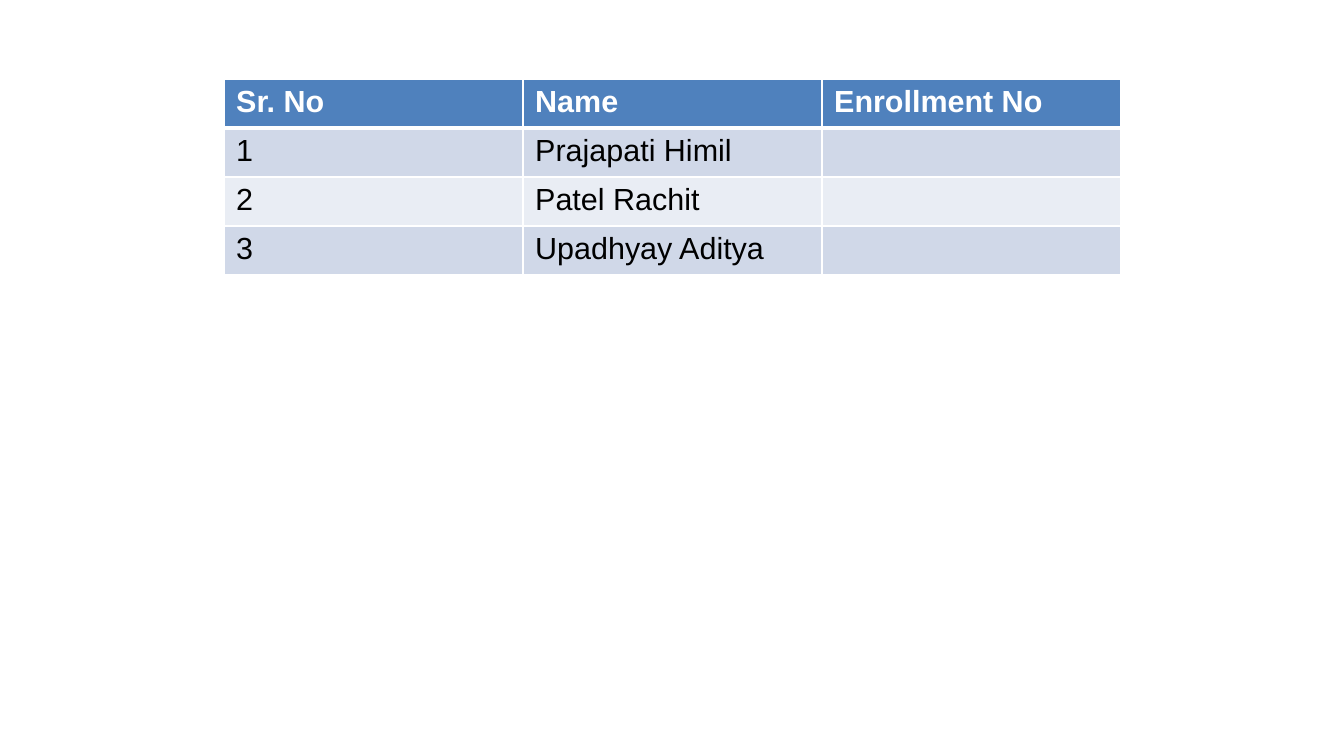
import pptx
import pptx.util
import pptx.dml.color
import pptx.enum.text
import pptx.oxml.ns
import lxml.etree

PX = 914400 / 122

THEME = {
    "font": "Arial", "size": 18, "rule": "FFFFFF", "thin": 1, "thick": 3,
    "head": {"fill": "4F81BD", "text": "FFFFFF", "bold": True},
    "odd": {"fill": "D0D8E8", "text": "000000", "bold": False},
    "even": {"fill": "E9EDF4", "text": "000000", "bold": False},
}

ROWS = [
    ("Sr. No", "Name", "Enrollment No"),
    ("1", "Prajapati Himil", ""),
    ("2", "Patel Rachit", ""),
    ("3", "Upadhyay Aditya", ""),
]


def px(count):
    return pptx.util.Emu(round(count * PX))


def rgb(code):
    return pptx.dml.color.RGBColor.from_string(code)


def assign(item, values):
    for name, value in values.items():
        setattr(item, name, value)


def border(cell, widths):
    """Draw the four cell edges, with widths in points."""
    props = cell._tc.get_or_add_tcPr()
    tag = pptx.oxml.ns.qn
    for side, width in widths.items():
        line = lxml.etree.SubElement(props, tag("a:ln" + side), w=str(pptx.util.Pt(width)))
        fill = lxml.etree.SubElement(line, tag("a:solidFill"))
        lxml.etree.SubElement(fill, tag("a:srgbClr"), val=THEME["rule"])


def style(cell, text, look, widths):
    border(cell, widths)
    cell.fill.solid()
    cell.fill.fore_color.rgb = rgb(look["fill"])
    cell.vertical_anchor = pptx.enum.text.MSO_ANCHOR.TOP
    cell.text = text
    font = cell.text_frame.paragraphs[0].font
    assign(font, {"name": THEME["font"], "size": pptx.util.Pt(THEME["size"]),
                  "bold": look["bold"]})
    font.color.rgb = rgb(look["text"])


def roster(slide, left, top, width, height):
    """Place the student table in the given box."""
    count, span = len(ROWS), len(ROWS[0])
    table = slide.shapes.add_table(count, span, px(left), px(top),
                                   px(width), px(height)).table
    for column in table.columns:
        column.width = px(width // span)
    for row in table.rows:
        row.height = px(height // count)

    # Header, then alternating bands; a thick rule lies under the header
    thin, thick = THEME["thin"], THEME["thick"]
    for i, texts in enumerate(ROWS):
        look = THEME["head" if i == 0 else "odd" if i % 2 else "even"]
        widths = {"L": thin, "R": thin, "T": thick if i == 1 else thin,
                  "B": thick if i == 0 else thin}
        for j, text in enumerate(texts):
            style(table.cell(i, j), text, look, widths)


def main():
    deck = pptx.Presentation()
    assign(deck, {"slide_width": px(1344), "slide_height": px(756)})
    slide = deck.slides.add_slide(deck.slide_layouts[6])
    roster(slide, 224, 79, 897, 196)
    deck.save("out.pptx")


if __name__ == "__main__":
    main()
